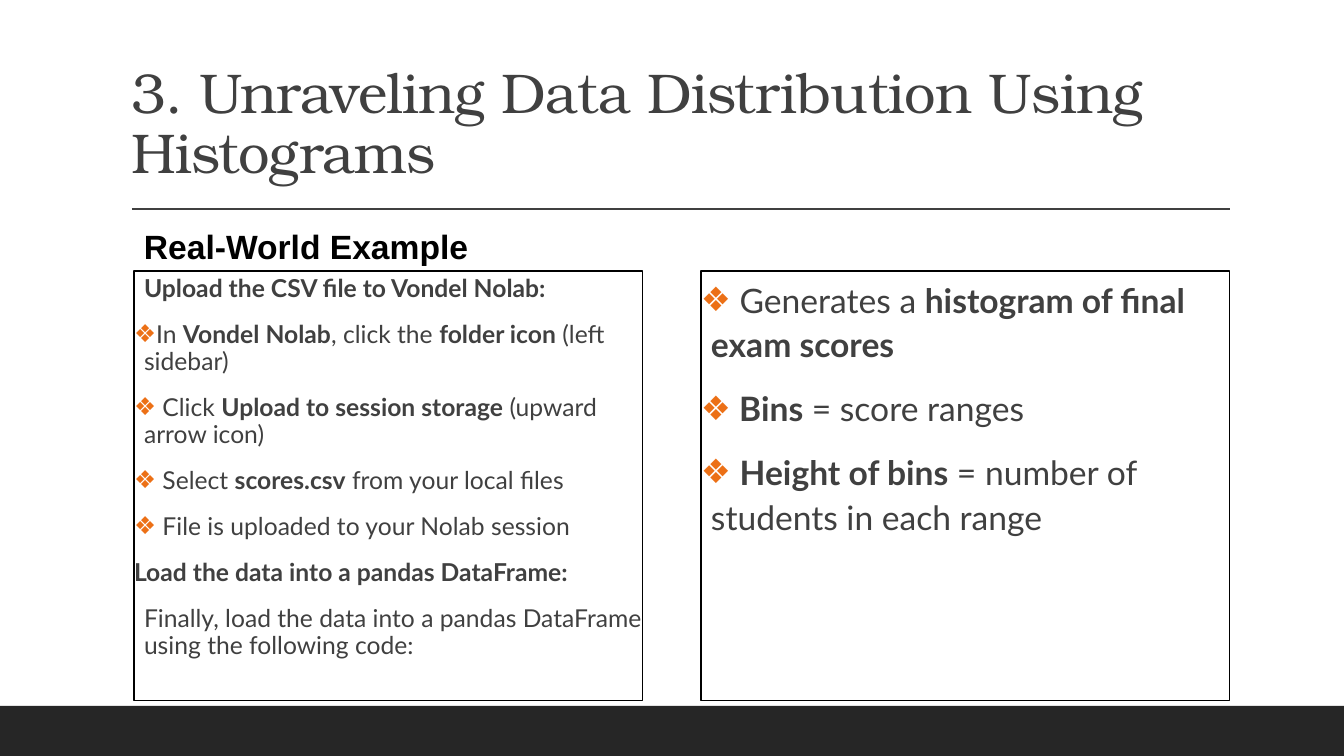
from lxml import etree
from pptx import Presentation
from pptx.dml.color import RGBColor
from pptx.enum.shapes import MSO_CONNECTOR, MSO_SHAPE
from pptx.enum.text import MSO_ANCHOR, MSO_AUTO_SIZE, PP_ALIGN
from pptx.oxml.ns import qn
from pptx.util import Pt

STRAIGHT = MSO_CONNECTOR.STRAIGHT
RECTANGLE = MSO_SHAPE.RECTANGLE
TOP, BOTTOM = MSO_ANCHOR.TOP, MSO_ANCHOR.BOTTOM
FIXED = MSO_AUTO_SIZE.NONE
LEFT = PP_ALIGN.LEFT

TITLE = "3. Unraveling Data Distribution Using Histograms"
HEADING = "Real-World Example"
STEPS = [
    (" ", "**Upload the CSV file to Vondel Nolab:**"),
    ("❖", "In **Vondel Nolab**, click the **folder icon** (left sidebar)"),
    ("❖", " Click **Upload to session storage** (upward arrow icon)"),
    ("❖", " Select **scores.csv** from your local files"),
    ("❖", " File is uploaded to your Nolab session"),
    (None, "**Load the data into a pandas DataFrame:**"),
    (" ", "Finally, load the data into a pandas DataFrame using the following code:"),
]
FINDINGS = [
    ("❖", " Generates a **histogram of final exam scores**"),
    ("❖", "** Bins** = score ranges"),
    ("❖", " **Height of bins** = number of students in each range"),
]
DARK, BLACK, FOOTER, ACCENT = "404040", "000000", "262626", "EC7016"
SLIDE_WIDTH, SLIDE_HEIGHT = 1344, 756
FOOTER_TOP = 706
PANEL_TOP, PANEL_HEIGHT = 271, 430
HEADING_HEIGHT = 50
LEFT_PANEL = (134, PANEL_TOP, 509, PANEL_HEIGHT)
RIGHT_PANEL = (701, PANEL_TOP, 529, PANEL_HEIGHT)
EMU_PER_PX = 12192000 / SLIDE_WIDTH
INDENT, INSET = 10, 5


def px(length):
    return round(length * EMU_PER_PX)


def colour(code):
    return RGBColor.from_string(code)


def place(shape, left, top, width, height):
    shape.left, shape.top = px(left), px(top)
    shape.width, shape.height = px(width), px(height)


def style(span, font, size, code, bold=False):
    span.font.name = font
    span.font.size = Pt(size)
    span.font.bold = bold
    span.font.color.rgb = colour(code)


def set_bullet(para, mark):
    properties = para._p.get_or_add_pPr()
    margin = px(INDENT) if mark else 0
    properties.set("marL", str(margin))
    properties.set("indent", str(-margin))
    if mark:
        tint = etree.SubElement(properties, qn("a:buClr"))
        etree.SubElement(tint, qn("a:srgbClr"), val=ACCENT)
        etree.SubElement(properties, qn("a:buChar"), char=mark)
    else:
        etree.SubElement(properties, qn("a:buNone"))


def fill_panel(panel, bounds, items, size, spacing):
    place(panel, *bounds)
    panel.line.color.rgb = colour(BLACK)
    panel.line.width = Pt(0.75)
    frame = panel.text_frame
    frame.auto_size = FIXED
    frame.word_wrap = True
    frame.vertical_anchor = TOP
    frame.margin_left = frame.margin_right = 0
    frame.margin_top = frame.margin_bottom = px(INSET)
    for index, (mark, text) in enumerate(items):
        para = frame.add_paragraph() if index else frame.paragraphs[0]
        para.alignment = LEFT
        para.line_spacing = spacing
        para.space_before, para.space_after = Pt(12), Pt(2)
        set_bullet(para, mark)
        for position, part in enumerate(text.split("**")):
            if part:
                span = para.add_run()
                span.text = part
                style(span, "Lato", size, DARK, position % 2 == 1)


def add_footer_and_rule(page):
    bar = page.shapes.add_shape(
        RECTANGLE, 0, px(FOOTER_TOP), px(SLIDE_WIDTH), px(SLIDE_HEIGHT - FOOTER_TOP))
    bar.shadow.inherit = False
    bar.fill.solid()
    bar.fill.fore_color.rgb = colour(FOOTER)
    bar.line.fill.background()
    rule = page.shapes.add_connector(STRAIGHT, px(132), px(209), px(1230), px(209))
    rule.line.color.rgb = colour(DARK)
    rule.line.width = Pt(1)
    etree.SubElement(rule._element.spPr, qn("a:effectLst"))


def add_title(page):
    title = page.shapes.title
    place(title, 121, 31, 1109, 160)
    frame = title.text_frame
    frame.text = TITLE
    frame.auto_size = FIXED
    frame.word_wrap = True
    frame.vertical_anchor = BOTTOM
    para = frame.paragraphs[0]
    para.alignment = LEFT
    para.line_spacing = 0.9
    span = para.runs[0]
    style(span, "TeX Gyre Bonum", 40, DARK)
    span.font._element.set("spc", "-50")


def add_heading(page):
    left, top, width, _ = LEFT_PANEL
    box = page.shapes.add_textbox(
        px(left), px(top - HEADING_HEIGHT), px(width), px(HEADING_HEIGHT))
    frame = box.text_frame
    frame.word_wrap = True
    frame.text = HEADING
    style(frame.paragraphs[0].runs[0], "Arial", 24, BLACK, True)


def main():
    deck = Presentation()
    deck.slide_width, deck.slide_height = px(SLIDE_WIDTH), px(SLIDE_HEIGHT)
    page = deck.slides.add_slide(deck.slide_layouts.get_by_name("Two Content"))
    add_footer_and_rule(page)
    add_title(page)
    fill_panel(page.placeholders[1], LEFT_PANEL, STEPS, 17.6, 0.9)
    add_heading(page)
    fill_panel(page.placeholders[2], RIGHT_PANEL, FINDINGS, 24, 1.1)
    deck.save("out.pptx")


if __name__ == "__main__":
    main()
